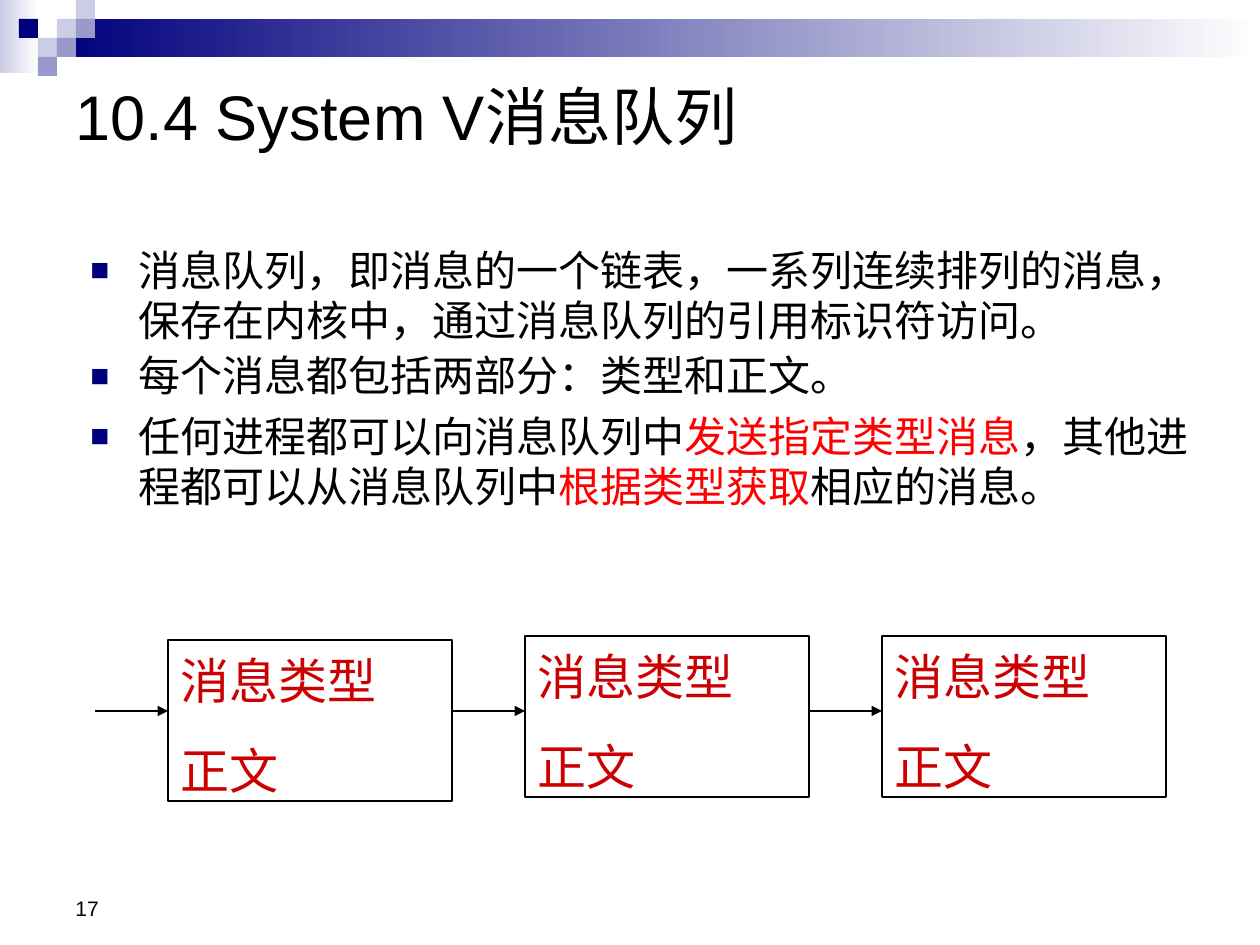
from pptx import Presentation
from pptx import util as u
from pptx.dml.color import RGBColor
from pptx.enum import shapes, text
from pptx.oxml.ns import qn
from lxml import etree

PX = 914400 / 126
NAVY, LILAC, PALE = "00007D", "9999CC", "CCCCE6"
BLACK, WHITE, RED, DARK_RED = "000000", "FFFFFF", "FF0000", "CC0000"
LATIN, CJK = "Arial", "Noto Sans CJK SC"


def px(n):
    return u.Emu(round(n * PX))


def color(value):
    return RGBColor.from_string(value)


def add_xml(parent, tag, **attrs):
    return etree.SubElement(parent, qn(tag), attrs)


class Deck:
    def __init__(self):
        self.prs = Presentation()
        self.prs.slide_width, self.prs.slide_height = px(1260), px(945)
        self.s = self.prs.slides.add_slide(self.prs.slide_layouts[5])

    def rect(self, x, y, w, h, fill=None, fade_to=None, line=None):
        sp = self.s.shapes.add_shape(
            shapes.MSO_SHAPE.RECTANGLE, px(x), px(y), px(w), px(h))
        sp.shadow.inherit = False
        if fade_to:
            sp.fill.gradient()
            sp.fill.gradient_angle = 0
            for stop, value in zip(sp.fill.gradient_stops, (fill, fade_to)):
                stop.color.rgb = color(value)
        elif fill:
            sp.fill.solid()
            sp.fill.fore_color.rgb = color(fill)
        else:
            sp.fill.background()
        if line:
            sp.line.color.rgb = color(line)
            sp.line.width = u.Pt(0.75)
        else:
            sp.line.fill.background()
        return sp

    def frame(self, sp, anchor, top=6):
        tf = sp.text_frame
        tf.word_wrap = True
        tf.auto_size = text.MSO_AUTO_SIZE.NONE
        tf.vertical_anchor = anchor
        tf.margin_top = px(top)
        return tf

    def para(self, tf, runs, size, font=LATIN, before=0, leading=None, first=False):
        p = tf.paragraphs[0] if first else tf.add_paragraph()
        p.alignment = text.PP_ALIGN.LEFT
        p.space_before = u.Pt(before)
        if leading:
            p.line_spacing = u.Pt(leading)
        for words, value in runs:
            r = p.add_run()
            r.text = words
            r.font.size = u.Pt(size)
            r.font.name = font
            r.font.color.rgb = color(value)
            add_xml(r.font._element, "a:ea", typeface=CJK)
        return p

    def bullet(self, p):
        pPr = p._p.get_or_add_pPr()
        pPr.set("marL", str(px(48)))
        pPr.set("indent", str(-px(48)))
        add_xml(add_xml(pPr, "a:buClr"), "a:srgbClr", val=NAVY)
        add_xml(pPr, "a:buSzPct", val="75000")
        add_xml(pPr, "a:buFont", typeface=LATIN)
        add_xml(pPr, "a:buChar", char="■")

    def title(self, x, y, w, h, words):
        sp = self.s.shapes.title
        sp.left, sp.top, sp.width, sp.height = px(x), px(y), px(w), px(h)
        tf = self.frame(sp, text.MSO_ANCHOR.MIDDLE)
        self.para(tf, [(words, BLACK)], 36, first=True)

    def textbox(self, x, y, w, h, anchor, top=6):
        sp = self.s.shapes.add_textbox(px(x), px(y), px(w), px(h))
        return self.frame(sp, anchor, top)

    def message(self, x, y, w, h):
        sp = self.rect(x, y, w, h, line=BLACK)
        tf = self.frame(sp, text.MSO_ANCHOR.TOP, top=11)
        tf.margin_bottom = 0
        for i, words in enumerate(("消息类型", "正文")):
            self.para(tf, [(words, DARK_RED)], 28, CJK, 17.5, 33.5, first=i == 0)

    def arrow(self, x1, x2, y):
        cx = self.s.shapes.add_connector(
            shapes.MSO_CONNECTOR.STRAIGHT, px(x1), px(y), px(x2), px(y))
        cx.line.color.rgb = color(BLACK)
        cx.line.width = u.Pt(0.75)
        add_xml(cx.line._get_or_add_ln(), "a:tailEnd", type="triangle")
        add_xml(cx._element.spPr, "a:effectLst")


def main():
    d = Deck()

    # Header band and its mosaic of squares (column, row, colour)
    d.rect(0, 0, 39, 73, PALE, WHITE)
    d.rect(57, 19, 1203, 38, NAVY, WHITE)
    cell = 19
    for col, row, fill in ((3, 1, PALE), (4, 0, PALE), (4, 1, LILAC), (2, 2, PALE),
                           (1, 1, NAVY), (3, 2, LILAC), (2, 3, LILAC)):
        d.rect(col * cell, row * cell, cell, cell, fill)

    d.title(63, 21, 1134, 189, "10.4 System V消息队列")

    # Bullets (space before, runs)
    bullets = (
        (3, [("消息队列，即消息的一个链表，一系列连续排列的消息，"
              "保存在内核中，通过消息队列的引用标识符访问。", BLACK)]),
        (3, [("每个消息都包括两部分：类型和正文。", BLACK)]),
        (6, [("任何进程都可以向消息队列中", BLACK), ("发送指定类型消息", RED),
             ("，其他进程都可以从消息队列中", BLACK), ("根据类型获取", RED),
             ("相应的消息。", BLACK)]),
    )
    tf = d.textbox(78, 179, 1150, 703, text.MSO_ANCHOR.TOP, top=66)
    for i, (before, runs) in enumerate(bullets):
        d.bullet(d.para(tf, runs, 24, before=before, leading=28.6, first=i == 0))

    # Linked list of messages, each with an arrow leading in
    width, gap = 284, 73
    for i, top in enumerate((640, 636, 636)):
        left = 168 + i * (width + gap)
        d.message(left, top, width, 161)
        d.arrow(left - gap, left, 711)

    # Page number
    tf = d.textbox(63, 861, 294, 66, text.MSO_ANCHOR.BOTTOM)
    d.para(tf, [("17", BLACK)], 12, first=True)

    d.prs.save("out.pptx")


if __name__ == "__main__":
    main()
